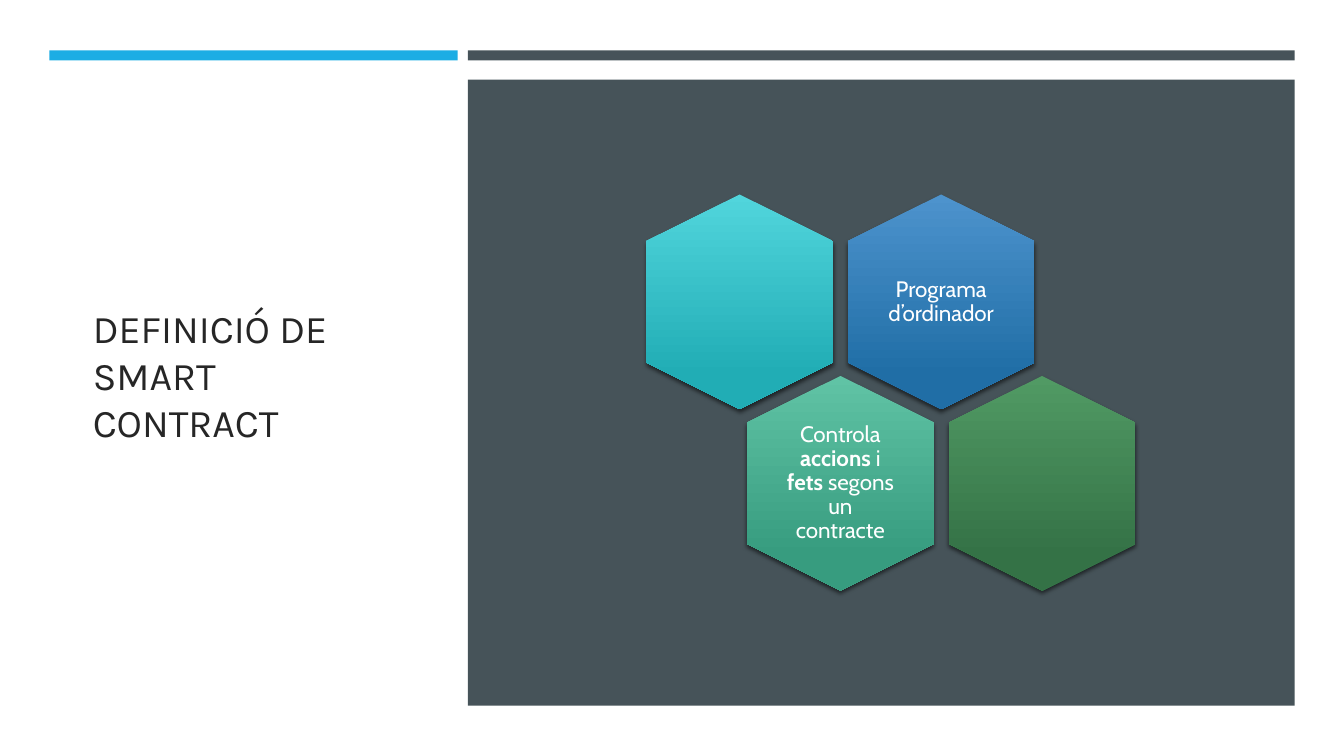
from collections import namedtuple

from lxml import etree
from pptx import Presentation
from pptx.dml.color import RGBColor
from pptx.enum.shapes import MSO_SHAPE
from pptx.enum.text import MSO_ANCHOR, MSO_AUTO_SIZE, PP_ALIGN
from pptx.oxml.ns import qn
from pptx.util import Inches, Pt

RECTANGLE, HEXAGON = MSO_SHAPE.RECTANGLE, MSO_SHAPE.HEXAGON
MIDDLE, NO_FIT = MSO_ANCHOR.MIDDLE, MSO_AUTO_SIZE.NONE
LEFT, CENTER = PP_ALIGN.LEFT, PP_ALIGN.CENTER

WHITE = RGBColor(0xFF, 0xFF, 0xFF)
INK = RGBColor(0x26, 0x26, 0x26)
SKY = RGBColor(0x1C, 0xAD, 0xE4)
SLATE = RGBColor(0x46, 0x53, 0x59)
TURQUOISE = (RGBColor(0x51, 0xD5, 0xDC), RGBColor(0x21, 0xAD, 0xB5))
BLUE = (RGBColor(0x4D, 0x93, 0xCD), RGBColor(0x20, 0x6E, 0xA6))
MINT = (RGBColor(0x60, 0xC3, 0xA5), RGBColor(0x37, 0x9C, 0x7F))
GREEN = (RGBColor(0x51, 0x9A, 0x64), RGBColor(0x34, 0x72, 0x46))

# Boxes in inches
Box = namedtuple("Box", "left top width height")
TITLE_BOX = Box(0.82, 1.14, 3.34, 5.15)
PANEL = Box(4.64, 0.79, 8.2, 6.21)
BAR_TOP, BAR_HEIGHT = 0.5, 0.1

# Honeycomb, measured from the panel's corner
COMB_LEFT, COMB_TOP = 1.77, 1.14
CELL_WIDTH, CELL_HEIGHT = 1.85, 2.13
COLUMN_STEP, ROW_STEP = 2.0, 1.8
LABEL_WIDTH, LABEL_HEIGHT, LABEL_INSET = 1.28, 1.47, 0.07

# Row, column, gradient, runs of (text, bold)
CELLS = [
    (0, 0, TURQUOISE, []),
    (0, 1, BLUE, [("Programa d’ordinador", False)]),
    (1, 0, MINT, [("Controla ", False), ("accions", True), (" i ", False),
                  ("fets ", True), ("segons un contracte", False)]),
    (1, 1, GREEN, []),
]


def inches(box):
    return [Inches(length) for length in box]


def centred(box, width, height):
    return Box(box.left + (box.width - width) / 2,
               box.top + (box.height - height) / 2, width, height)


def add_run(para, text, font, size, color, bold=False):
    span = para.add_run()
    span.text = text
    span.font.name, span.font.size, span.font.bold = font, Pt(size), bold
    span.font.color.rgb = color


def add_block(page, box, color):
    block = page.shapes.add_shape(RECTANGLE, *inches(box))
    block.shadow.inherit = False
    block.fill.solid()
    block.fill.fore_color.rgb = color
    block.line.fill.background()


def add_title(page, box):
    title = page.shapes.title
    title.left, title.top, title.width, title.height = inches(box)
    frame = title.text_frame
    frame.word_wrap, frame.auto_size = True, NO_FIT
    frame.vertical_anchor = MIDDLE
    frame.margin_right = Inches(0.2)
    para = frame.paragraphs[0]
    para.alignment = LEFT
    add_run(para, "DEFINICIÓ DE SMART CONTRACT", "Karla", 28, INK)


def add_soft_shadow(shape):
    shape.shadow.inherit = False
    effects = shape.element.spPr.find(qn("a:effectLst"))
    shadow = etree.SubElement(
        effects, qn("a:outerShdw"), blurRad=str(Pt(3)), dist=str(Pt(2)),
        dir="5400000", algn="ctr", rotWithShape="0")
    color = etree.SubElement(shadow, qn("a:srgbClr"), val="000000")
    etree.SubElement(color, qn("a:alpha"), val="55000")


def add_hexagon(page, box, colors):
    # The preset lies on its side, so its width is the cell's height
    hexagon = page.shapes.add_shape(
        HEXAGON, *inches(centred(box, box.height, box.width)))
    hexagon.rotation = 90
    hexagon.adjustments[0] = 0.25
    hexagon.line.fill.background()
    hexagon.fill.gradient()
    hexagon.fill.gradient_angle = 270
    for stop, position, color in zip(hexagon.fill.gradient_stops, (0, 0.84), colors):
        stop.position = position
        stop.color.rgb = color
    hexagon.element.spPr.find(qn("a:gradFill")).set("rotWithShape", "0")
    add_soft_shadow(hexagon)


def add_label(page, box, runs):
    label = page.shapes.add_textbox(*inches(centred(box, LABEL_WIDTH, LABEL_HEIGHT)))
    frame = label.text_frame
    frame.word_wrap, frame.vertical_anchor = True, MIDDLE
    frame.margin_left = frame.margin_right = Inches(LABEL_INSET)
    frame.margin_top = frame.margin_bottom = Inches(LABEL_INSET)
    para = frame.paragraphs[0]
    para.alignment, para.line_spacing, para.space_after = CENTER, 0.9, Pt(5.6)
    for text, bold in runs:
        add_run(para, text, "Cabin", 16, WHITE, bold)


def add_honeycomb(page, panel):
    for row, column, colors, runs in CELLS:
        # Each row is shifted by half a column
        cell = Box(panel.left + COMB_LEFT + (column + row / 2) * COLUMN_STEP,
                   panel.top + COMB_TOP + row * ROW_STEP,
                   CELL_WIDTH, CELL_HEIGHT)
        add_hexagon(page, cell, colors)
        if runs:
            add_label(page, cell, runs)


def add_definition_slide(deck):
    page = deck.slides.add_slide(deck.slide_layouts.get_by_name("Title Only"))
    page.background.fill.solid()
    page.background.fill.fore_color.rgb = WHITE
    add_title(page, TITLE_BOX)
    # Top bars and dark panel
    add_block(page, Box(0.49, BAR_TOP, 4.05, BAR_HEIGHT), SKY)
    add_block(page, Box(PANEL.left, BAR_TOP, PANEL.width, BAR_HEIGHT), SLATE)
    add_block(page, PANEL, SLATE)
    add_honeycomb(page, PANEL)


def main():
    deck = Presentation()
    deck.slide_width, deck.slide_height = Inches(13.33), Inches(7.5)
    add_definition_slide(deck)
    deck.save("out.pptx")


if __name__ == "__main__":
    main()
